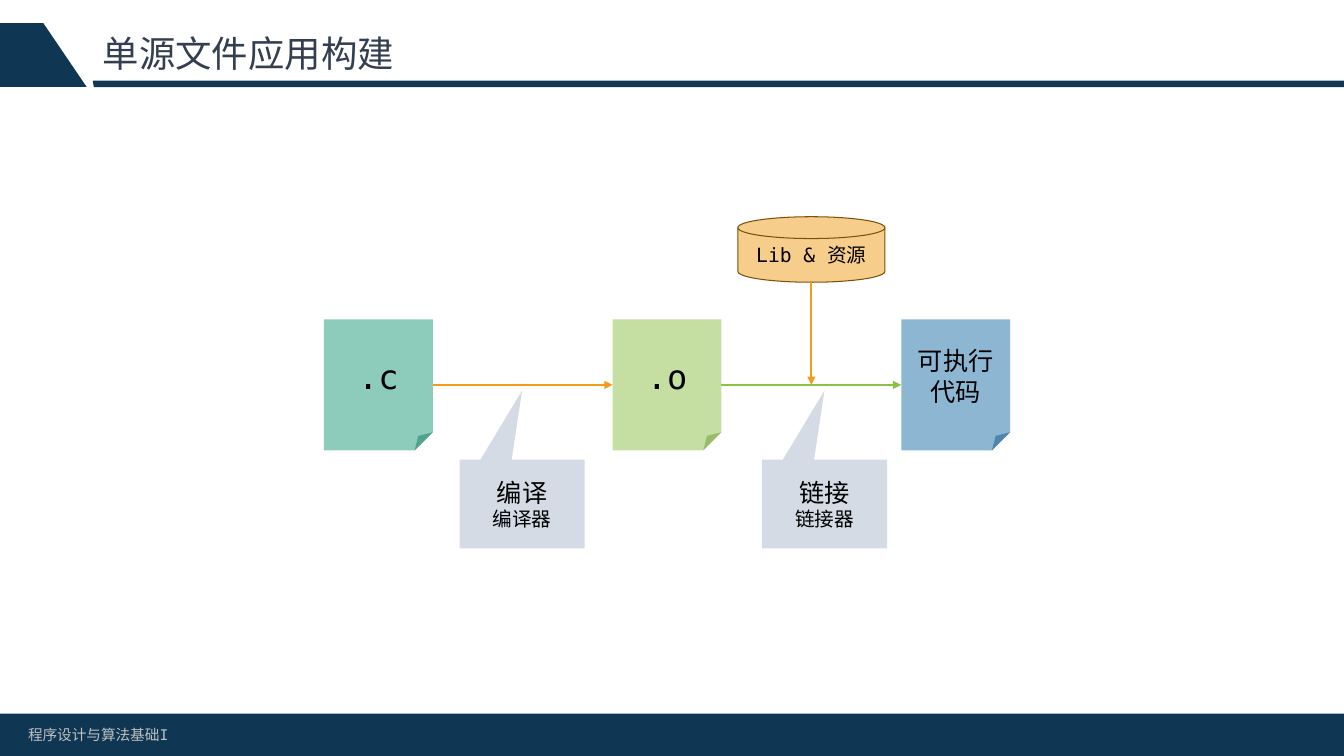
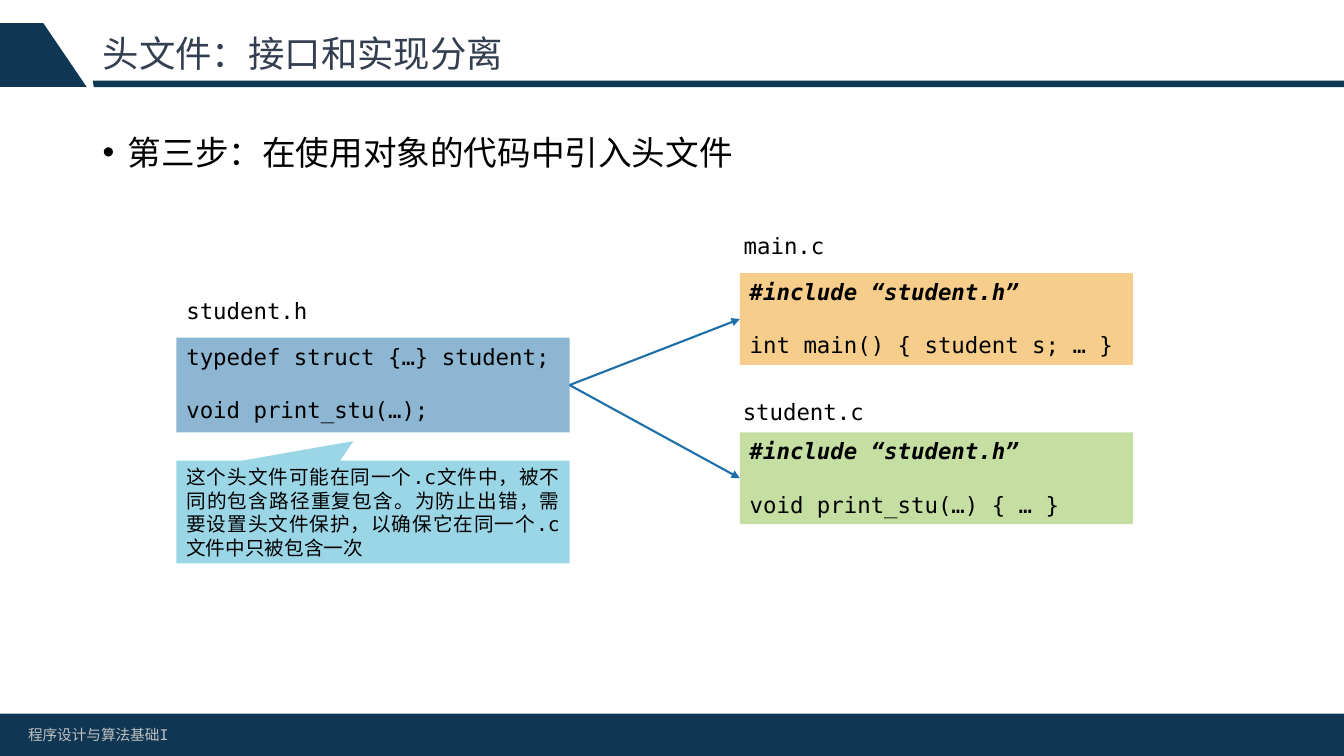
from dataclasses import dataclass
from typing import Any, NamedTuple

import lxml.etree
import pptx
import pptx.dml.color
import pptx.enum.shapes
import pptx.enum.text
import pptx.oxml.ns
import pptx.util

Kind = pptx.enum.shapes.MSO_SHAPE
Align = pptx.enum.text.PP_ALIGN
Anchor = pptx.enum.text.MSO_ANCHOR
qn = pptx.oxml.ns.qn

WIDE, HIGH = pptx.util.Inches(13.333), pptx.util.Inches(7.5)


@dataclass(frozen=True)
class Theme:
    font: str = "DejaVu Sans Mono"
    navy: str = "0F3754"
    title: str = "333F50"
    foot: str = "BFBFBF"
    text: str = "000000"
    teal: str = "1D9A78"
    green: str = "8BC145"
    blue: str = "1D6FA9"
    gold: str = "F19D19"
    brown: str = "7D5008"
    gray: str = "ADB9CA"
    sky: str = "36AFCE"
    head_size: float = 26
    big_size: float = 24
    mid_size: float = 18
    code_size: float = 16
    note_size: float = 14
    foot_size: float = 10.5
    tint: int = 50
    stroke: float = 1.5
    edge: float = 0.75


THEME = Theme()


class Point(NamedTuple):
    """A place in percent of the slide's width and height."""
    x: float
    y: float

    def emu(self) -> tuple[int, int]:
        return round(self.x * WIDE / 100), round(self.y * HIGH / 100)


class Box(NamedTuple):
    """A frame in percent of the slide's width and height."""
    left: float
    top: float
    wide: float
    high: float

    def emu(self) -> tuple[int, int, int, int]:
        return Point(self.left, self.top).emu() + Point(self.wide, self.high).emu()

    def mid(self) -> Point:
        return Point(self.left + self.wide / 2, self.top + self.high / 2)


class Line(NamedTuple):
    text: str
    size: float
    tone: str = THEME.text
    strong: bool = False
    gap: float = 0


class Panel(NamedTuple):
    name: str
    label: Point
    box: Box
    tone: str
    first: str
    last: str
    strong: bool = True


class File(NamedTuple):
    text: str
    size: float
    tone: str


class Step(NamedTuple):
    name: str
    tool: str


RULE = (Point(6.9, 10.67), Point(100, 10.67), Point(100, 11.53), Point(6.98, 11.53))
TAB = (Point(3.23, 3.07), Point(6.45, 11.5), Point(0, 11.5), Point(0, 3.07))
BAND = Box(0, 94.4, 100, 5.6)
FOOT = Box(1.35, 95.33, 32.4, 3.87)
HEAD = Box(6.9, 3.07, 86.25, 8.53)
BODY = Box(6.9, 16.8, 86.25, 72.4)

FILES = (
    File(".c", THEME.big_size, THEME.teal),
    File(".o", THEME.big_size, THEME.green),
    File("可执行代码", THEME.mid_size, THEME.blue),
)
STEPS = (Step("编译", "编译器"), Step("链接", "链接器"))
FILE = Box(24.1, 42.25, 8.1, 17.33)
FILE_STEP = 21.48
NOTE = Box(34.2, 60.8, 9.3, 11.73)
NOTE_STEP = 22.5
DISK = Box(54.9, 28.67, 10.95, 8.67)

NEAR, FAR, SPAN = 13.13, 55.05, 29.25
PANELS = (
    Panel("student.h", Point(NEAR, 38.67), Box(NEAR, 44.67, SPAN, 12.53),
          THEME.blue, "typedef struct {…} student;", "void print_stu(…);", False),
    Panel("main.c", Point(54.6, 30), Box(FAR, 36.13, SPAN, 12.13),
          THEME.gold, "#include “student.h”", "int main() { student s; … }"),
    Panel("student.c", Point(54.53, 52), Box(FAR, 57.2, SPAN, 12.13),
          THEME.green, "#include “student.h”", "void print_stu(…) { … }"),
)
GUARD = Box(NEAR, 60.93, SPAN, 13.6)
GUARD_TEXT = ("这个头文件可能在同一个.c文件中，被不同的包含路径重复包含。"
              "为防止出错，需要设置头文件保护，以确保它在同一个.c文件中只被包含一次")


def color(tone: str) -> pptx.dml.color.RGBColor:
    return pptx.dml.color.RGBColor.from_string(tone)


def write(shape: Any, *lines: Line, align: Any = Align.LEFT, anchor: Any = Anchor.TOP) -> None:
    frame = shape.text_frame
    frame.word_wrap = True
    frame.vertical_anchor = anchor
    frame.text = "\n".join(line.text for line in lines)
    for para, line in zip(frame.paragraphs, lines):
        para.alignment = align
        if line.gap:
            para.space_before = pptx.util.Pt(line.gap)
        for run in para.runs:
            run.font.name = THEME.font
            run.font.size = pptx.util.Pt(line.size)
            run.font.bold = run.font.italic = line.strong
            run.font.color.rgb = color(line.tone)


def paint(shape: Any, tone: str, tint: int = 100) -> None:
    """Fill with one colour at an opacity in percent, with no outline."""
    shape.shadow.inherit = False
    shape.fill.solid()
    shape.fill.fore_color.rgb = color(tone)
    shape.line.fill.background()
    if tint < 100:
        shade = shape.element.spPr.find(qn("a:solidFill")).find(qn("a:srgbClr"))
        lxml.etree.SubElement(shade, qn("a:alpha"), val=str(tint * 1000))


def block(slide: Any, kind: Any, box: Box, tone: str, tint: int = THEME.tint) -> Any:
    shape = slide.shapes.add_shape(kind, *box.emu())
    paint(shape, tone, tint)
    return shape


def callout(slide: Any, box: Box, tone: str, tip: tuple[float, float]) -> Any:
    shape = block(slide, Kind.RECTANGULAR_CALLOUT, box, tone)
    for spot, value in enumerate(tip):
        shape.adjustments[spot] = value
    return shape


def label(slide: Any, box: Box, line: Line, anchor: Any = Anchor.TOP) -> Any:
    shape = slide.shapes.add_textbox(*box.emu())
    write(shape, line, anchor=anchor)
    return shape


def outline(slide: Any, points: tuple[Point, ...]) -> None:
    start, *rest = (point.emu() for point in points)
    path = slide.shapes.build_freeform(*start)
    path.add_line_segments(rest)
    paint(path.convert_to_shape(), THEME.navy)


def arrow(slide: Any, start: Point, end: Point, tone: str) -> Any:
    line = slide.shapes.add_connector(
        pptx.enum.shapes.MSO_CONNECTOR.STRAIGHT, *start.emu(), *end.emu())
    line.line.color.rgb = color(tone)
    line.line.width = pptx.util.Pt(THEME.stroke)
    props = line.element.spPr
    lxml.etree.SubElement(props.find(qn("a:ln")), qn("a:tailEnd"), type="triangle")
    lxml.etree.SubElement(props, qn("a:effectLst"))
    return line


def link(slide: Any, left: Any, right: Any, tone: str) -> None:
    """Join the right side of one shape to the left side of another."""
    line = arrow(slide, Point(0, 0), Point(1, 1), tone)
    line.begin_connect(left, 3)
    line.end_connect(right, 1)


def start(deck: Any, title: str) -> Any:
    """Add a blank slide with the shared bands, footer and title."""
    slide = deck.slides.add_slide(deck.slide_layouts[6])
    for points in (RULE, TAB):
        outline(slide, points)
    block(slide, Kind.RECTANGLE, BAND, THEME.navy, 100)
    label(slide, FOOT, Line("程序设计与算法基础I", THEME.foot_size, THEME.foot))
    head = label(slide, HEAD, Line(title, THEME.head_size, THEME.title), Anchor.MIDDLE)
    head.text_frame.paragraphs[0].line_spacing = 0.9
    return slide


def bullet(shape: Any) -> None:
    para = shape.text_frame.paragraphs[0]
    para.alignment = Align.JUSTIFY
    props = para._p.get_or_add_pPr()
    inset = pptx.util.Inches(0.25)
    props.set("marL", str(inset))
    props.set("indent", str(-inset))
    lxml.etree.SubElement(props, qn("a:buFont"), typeface="Arial")
    lxml.etree.SubElement(props, qn("a:buChar"), char="•")


def build(deck: Any) -> None:
    """Draw the flow from source file to program."""
    slide = start(deck, "单源文件应用构建")
    center = {"align": Align.CENTER, "anchor": Anchor.MIDDLE}
    sheets = []
    for spot, file in enumerate(FILES):
        box = FILE._replace(left=FILE.left + spot * FILE_STEP)
        sheet = block(slide, Kind.FOLDED_CORNER, box, file.tone)
        write(sheet, Line(file.text, file.size), **center)
        sheets.append(sheet)
    for left, right, tone in zip(sheets, sheets[1:], (THEME.gold, THEME.green)):
        link(slide, left, right, tone)
    for spot, step in enumerate(STEPS):
        box = NOTE._replace(left=NOTE.left + spot * NOTE_STEP)
        note = callout(slide, box, THEME.gray, (0, -1.28))
        write(note, Line(step.name, THEME.mid_size),
              Line(step.tool, THEME.note_size), **center)
    disk = block(slide, Kind.FLOWCHART_MAGNETIC_DISK, DISK, THEME.gold)
    disk.line.color.rgb = color(THEME.brown)
    disk.line.width = pptx.util.Pt(THEME.edge)
    write(disk, Line("Lib & 资源", THEME.note_size), **center)
    mid = DISK.mid().x
    arrow(slide, Point(mid, DISK.top + DISK.high), Point(mid, FILE.mid().y), THEME.gold)


def header(deck: Any) -> None:
    """Draw the header file and the two sources that include it."""
    slide = start(deck, "头文件：接口和实现分离")
    bullet(label(slide, BODY, Line("第三步：在使用对象的代码中引入头文件", THEME.big_size)))
    cards = []
    for panel in PANELS:
        card = block(slide, Kind.RECTANGLE, panel.box, panel.tone)
        write(card, Line(panel.first, THEME.code_size, strong=panel.strong),
              Line(panel.last, THEME.code_size, gap=19))
        label(slide, Box(*panel.label, 14.18, 4.93), Line(panel.name, THEME.code_size))
        cards.append(card)
    for card in cards[1:]:
        link(slide, cards[0], card, THEME.blue)
    guard = callout(slide, GUARD, THEME.sky, (-0.05, -0.69))
    write(guard, Line(GUARD_TEXT, THEME.note_size),
          align=Align.JUSTIFY, anchor=Anchor.MIDDLE)


def main() -> None:
    deck = pptx.Presentation()
    deck.slide_width, deck.slide_height = WIDE, HIGH
    build(deck)
    header(deck)
    deck.save("out.pptx")


if __name__ == "__main__":
    main()
